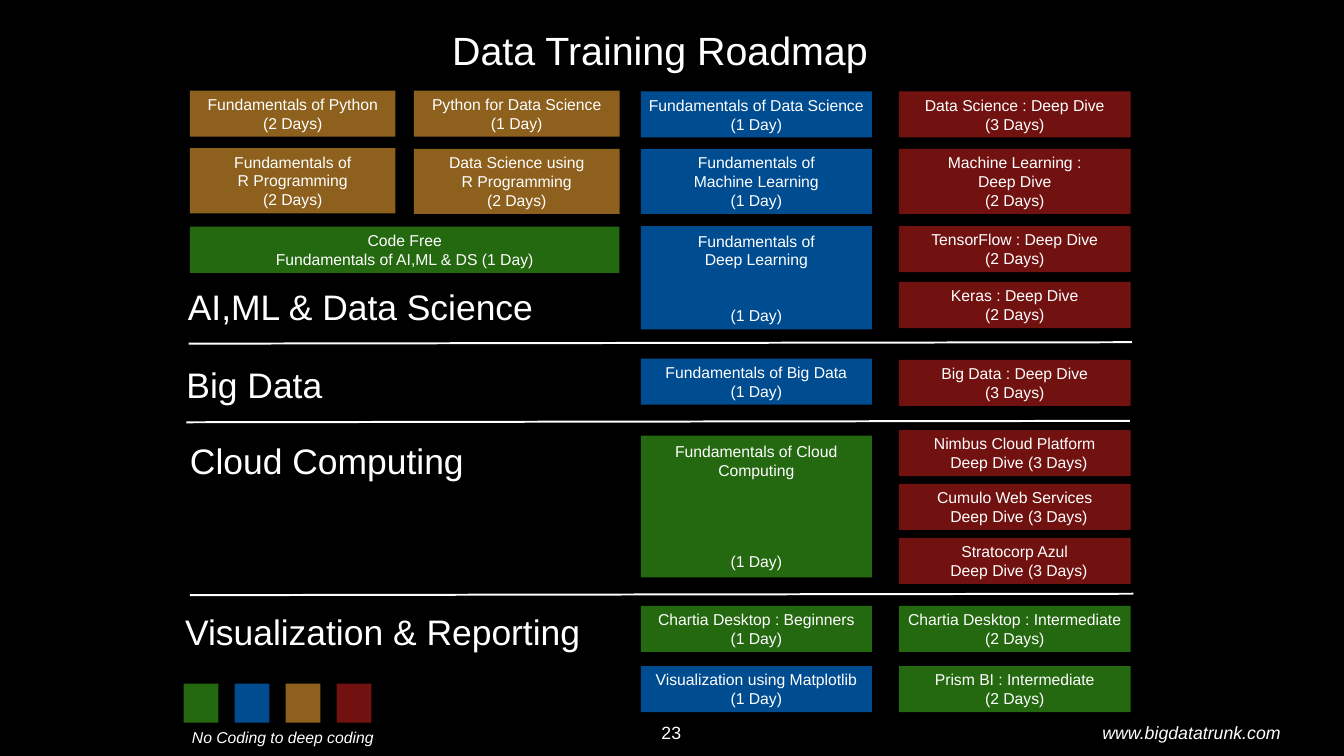
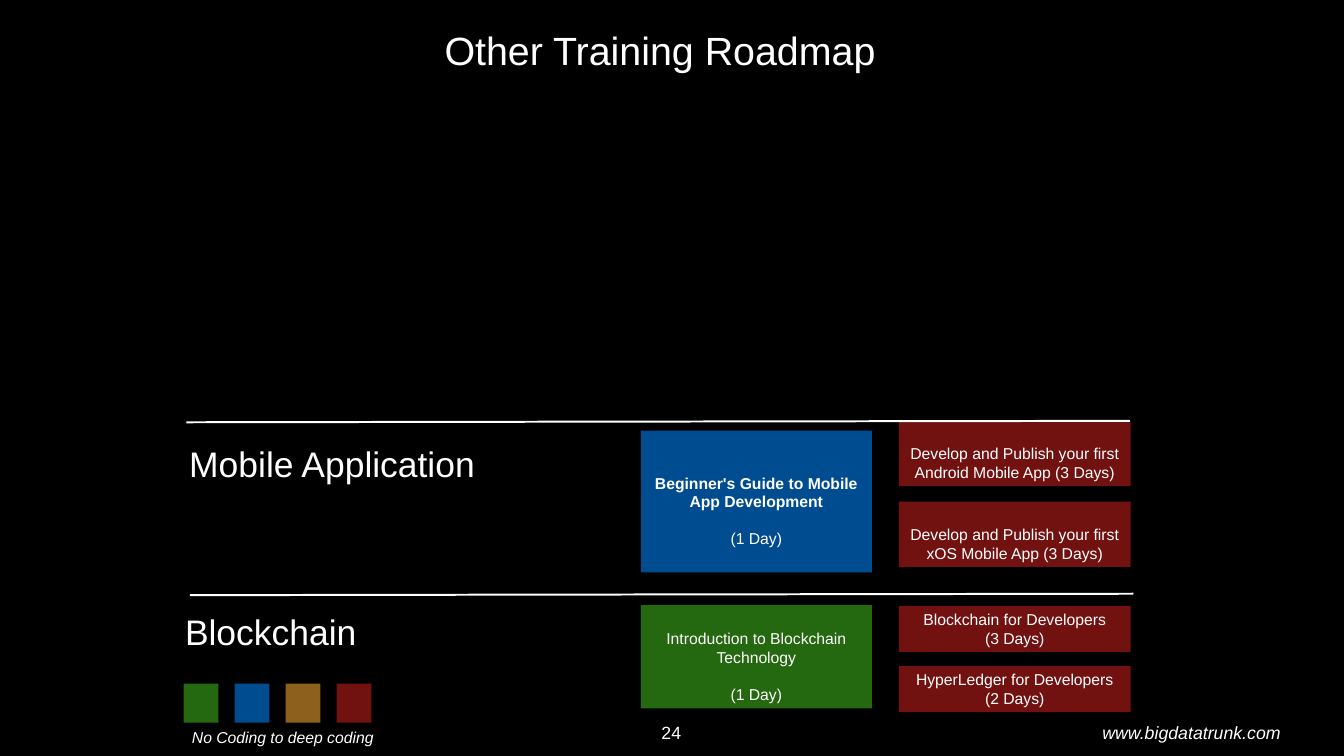
from dataclasses import dataclass

from pptx import Presentation
from pptx.dml.color import RGBColor
from pptx.enum.shapes import MSO_CONNECTOR as Connector, MSO_SHAPE as Shape
from pptx.enum.text import MSO_ANCHOR as Anchor, PP_ALIGN as Align
from pptx.oxml.ns import qn
from pptx.util import Inches, Pt
from lxml import etree

FONT = "Arial"
COLORS = {
    "background": "000000",
    "text": "FFFFFF",
    "green": "246810",
    "blue": "004C91",
    "brown": "8D601D",
    "red": "711211",
}
LEVELS = ["green", "blue", "brown", "red"]  # from no coding to deep coding
COLUMNS = {  # left, width
    "wide": (2.68, 6.06),
    "first": (2.68, 2.9),
    "second": (5.84, 2.9),
    "third": (9.04, 3.26),
    "fourth": (12.68, 3.27),
}
INSET = 0.06
LINE_POINTS = 18.4  # one line of course text
SHORT, TALL = 0.65, 0.92  # boxes of two and three lines


@dataclass
class Course:
    column: str
    top: float  # below the top of its section
    height: float
    level: str
    name: str
    length: str
    gap: int = 0  # free lines above the length
    lead: int = 0  # free lines above the name
    indent: float = 0  # shift of the length line
    bold: bool = False


@dataclass
class Section:
    top: float
    heading: str
    heading_left: float
    heading_top: float  # below the top of the section
    courses: list
    divider_left: float = 0  # no line above the section when 0


def color(name):
    return RGBColor.from_string(COLORS[name])


def style(paragraph, size, align=Align.CENTER, bold=False, italic=False):
    paragraph.alignment = align
    font = paragraph.font
    font.name, font.size = FONT, Pt(size)
    font.bold, font.italic = bold, italic
    font.color.rgb = color("text")


def set_frame(frame, anchor=Anchor.MIDDLE):
    frame.word_wrap = True
    frame.vertical_anchor = anchor
    frame.margin_left = frame.margin_right = Inches(INSET)
    frame.margin_top = frame.margin_bottom = Inches(INSET)


def add_label(slide, left, top, width, height, text, size, **options):
    box = slide.shapes.add_textbox(*map(Inches, (left, top, width, height)))
    set_frame(box.text_frame)
    paragraph = box.text_frame.paragraphs[0]
    paragraph.text = text
    style(paragraph, size, **options)


def add_block(slide, left, top, width, height, fill):
    block = slide.shapes.add_shape(
        Shape.RECTANGLE, *map(Inches, (left, top, width, height)))
    block.shadow.inherit = False
    block.fill.solid()
    block.fill.fore_color.rgb = color(fill)
    block.line.fill.background()
    return block


def add_course(slide, section_top, course):
    left, width = COLUMNS[course.column]
    block = add_block(slide, left, section_top + course.top, width,
                      course.height, course.level)
    frame = block.text_frame
    set_frame(frame)
    frame.margin_top = Inches(INSET) + Pt(course.lead * LINE_POINTS)
    lines = course.name.split("\n") + [course.length]
    for index, line in enumerate(lines):
        paragraph = frame.add_paragraph() if index else frame.paragraphs[0]
        paragraph.text = line
        is_length = index == len(lines) - 1
        style(paragraph, 16, bold=course.bold and not is_length)
        if is_length and course.gap:
            paragraph.space_before = Pt(course.gap * LINE_POINTS)
        if is_length and course.indent:
            properties = paragraph._p.get_or_add_pPr()
            properties.set("marL", str(Inches(course.indent)))


def add_divider(slide, left, top):
    line = slide.shapes.add_connector(
        Connector.STRAIGHT, Inches(left), Inches(top),
        Inches(left + 13.31), Inches(top - 0.02))
    line.line.color.rgb = color("text")
    line.line.width = Pt(2)
    etree.SubElement(line._element.spPr, qn("a:effectLst"))


def add_section(slide, section):
    for course in section.courses:
        add_course(slide, section.top, course)
    add_label(slide, section.heading_left, section.top + section.heading_top,
              6.15, 0.72, section.heading, 36, align=Align.LEFT)
    if section.divider_left:
        add_divider(slide, section.divider_left, section.top)


def add_legend(slide, left, top):
    for index, level in enumerate(LEVELS):
        add_block(slide, left + 0.04 + 0.72 * index, top, 0.49, 0.55, level)
    add_label(slide, left, top + 0.56, 2.88, 0.38,
              "No Coding to deep coding", 16, italic=True)


def add_footer(slide, top, number):
    add_label(slide, 9.17, top, 0.6, 0.42, str(number), 18)
    add_label(slide, 15.38, top, 2.86, 0.42, "www.bigdatatrunk.com", 18,
              italic=True)


def add_roadmap(presentation, title, number, sections):
    slide = presentation.slides.add_slide(presentation.slide_layouts[6])
    add_label(slide, 6.15, 0.31, 6.32, 0.79, title, 40)
    for section in sections:
        add_section(slide, section)
    add_legend(slide, 2.55, 9.65)
    add_footer(slide, 10.13, number)


def deep_dive(top, name):
    return Course("fourth", top, SHORT, "red", name, "Deep Dive (3 Days)",
                  indent=0.12)


DATA_SECTIONS = [
    Section(1.28, "AI,ML & Data Science", 2.59, 2.69, [
        Course("first", 0, SHORT, "brown", "Fundamentals of Python", "(2 Days)"),
        Course("second", 0, SHORT, "brown", "Python for Data Science", "(1 Day)"),
        Course("third", 0.01, SHORT, "blue", "Fundamentals of Data Science",
               "(1 Day)"),
        Course("fourth", 0.01, SHORT, "red", "Data Science : Deep Dive",
               "(3 Days)"),
        Course("first", 0.81, TALL, "brown", "Fundamentals of\nR Programming",
               "(2 Days)"),
        Course("second", 0.82, TALL, "brown",
               "Data Science using\nR Programming", "(2 Days)"),
        Course("third", 0.82, TALL, "blue",
               "Fundamentals of\nMachine Learning", "(1 Day)"),
        Course("fourth", 0.82, TALL, "red", "Machine Learning :\nDeep Dive",
               "(2 Days)"),
        Course("wide", 1.92, SHORT, "green", "Code Free",
               "Fundamentals of AI,ML & DS (1 Day)"),
        Course("third", 1.91, 1.46, "blue", "Fundamentals of\nDeep Learning",
               "(1 Day)", gap=2),
        Course("fourth", 1.91, SHORT, "red", "TensorFlow : Deep Dive",
               "(2 Days)"),
        Course("fourth", 2.7, SHORT, "red", "Keras : Deep Dive", "(2 Days)"),
    ]),
    Section(4.85, "Big Data", 2.57, 0.21, [
        Course("third", 0.21, SHORT, "blue", "Fundamentals of Big Data",
               "(1 Day)"),
        Course("fourth", 0.23, SHORT, "red", "Big Data : Deep Dive", "(3 Days)"),
    ], 2.66),
    Section(5.96, "Cloud Computing", 2.62, 0.17, [
        Course("third", 0.19, 2, "green", "Fundamentals of Cloud Computing",
               "(1 Day)", gap=4),
        deep_dive(0.11, "Nimbus Cloud Platform"),
        deep_dive(0.87, "Cumulo Web Services"),
        deep_dive(1.63, "Stratocorp Azul"),
    ], 2.63),
    Section(8.4, "Visualization & Reporting", 2.55, 0.15, [
        Course("third", 0.15, SHORT, "green", "Chartia Desktop : Beginners",
               "(1 Day)"),
        Course("fourth", 0.15, SHORT, "green",
               "Chartia Desktop : Intermediate", "(2 Days)"),
        Course("third", 1, SHORT, "blue", "Visualization using Matplotlib",
               "(1 Day)"),
        Course("fourth", 1, SHORT, "green", "Prism BI : Intermediate",
               "(2 Days)"),
    ], 2.68),
]

OTHER_SECTIONS = [
    Section(5.96, "Mobile Application", 2.61, 0.22, [
        Course("third", 0.12, 2, "blue",
               "Beginner's Guide to Mobile App Development", "(1 Day)",
               gap=1, lead=1, bold=True),
        Course("fourth", -0.02, TALL, "red", "Develop and Publish your first",
               "Android Mobile App (3 Days)", lead=1),
        Course("fourth", 1.12, TALL, "red", "Develop and Publish your first",
               "xOS Mobile App (3 Days)", lead=1),
    ], 2.63),
    Section(8.4, "Blockchain", 2.55, 0.15, [
        Course("third", 0.14, 1.46, "green",
               "Introduction to Blockchain Technology", "(1 Day)",
               gap=1, lead=1),
        Course("fourth", 0.15, SHORT, "red", "Blockchain for Developers",
               "(3 Days)"),
        Course("fourth", 1, SHORT, "red", "HyperLedger for Developers",
               "(2 Days)"),
    ], 2.68),
]


def main():
    presentation = Presentation()
    presentation.slide_width = Inches(18.96)
    presentation.slide_height = Inches(10.67)
    background = presentation.slide_master.background.fill
    background.solid()
    background.fore_color.rgb = color("background")
    add_roadmap(presentation, "Data Training Roadmap", 23, DATA_SECTIONS)
    add_roadmap(presentation, "Other Training Roadmap", 24, OTHER_SECTIONS)
    presentation.save("out.pptx")


if __name__ == "__main__":
    main()
